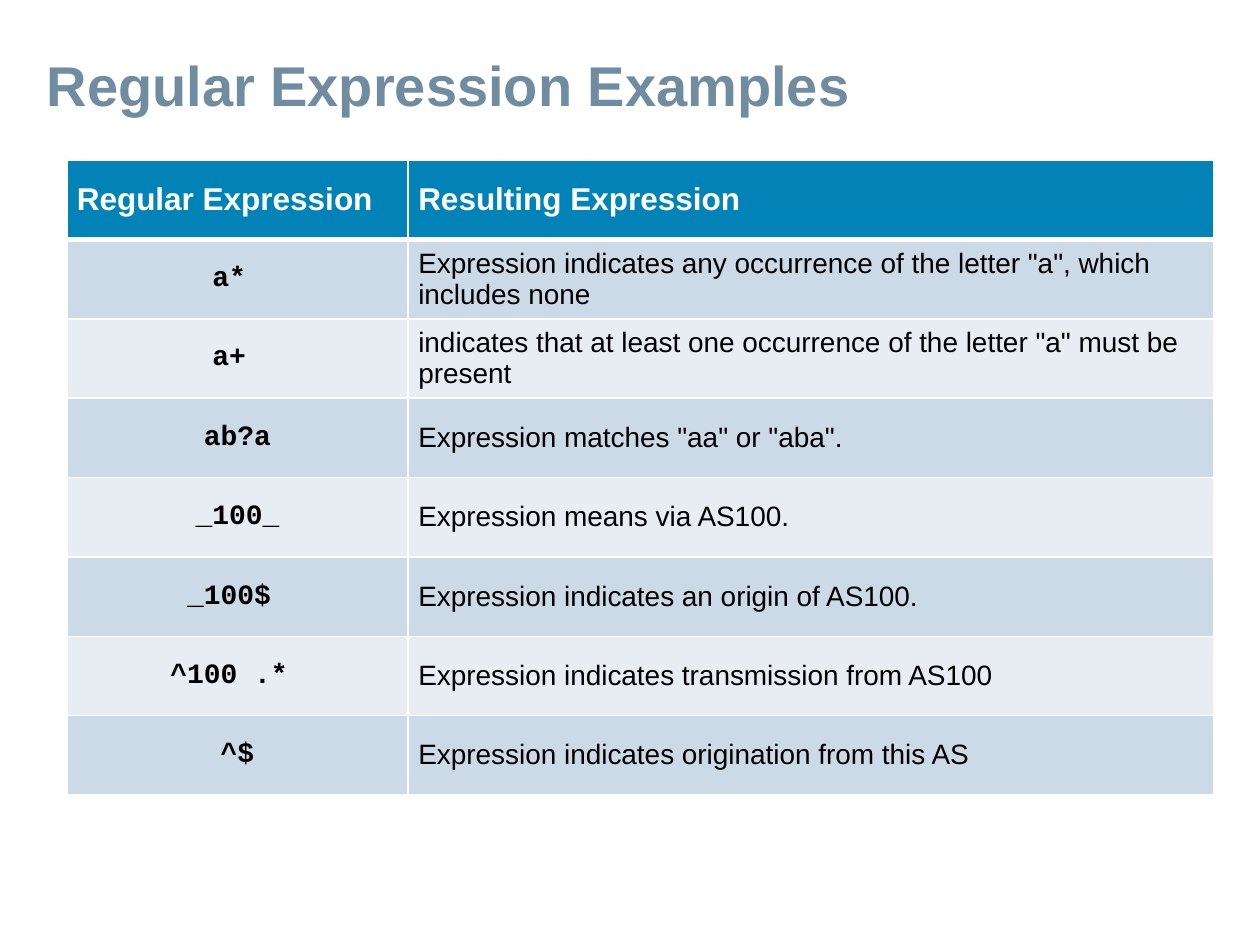
from dataclasses import dataclass

from lxml import etree
from pptx import Presentation
from pptx.dml.color import RGBColor
from pptx.enum.text import MSO_ANCHOR, PP_ALIGN
from pptx.oxml.ns import qn
from pptx.util import Inches, Pt

MIDDLE = MSO_ANCHOR.MIDDLE
LEFT, CENTER = PP_ALIGN.LEFT, PP_ALIGN.CENTER

TITLE = "Regular Expression Examples"
HEADER = ("Regular Expression", "Resulting Expression")
EXAMPLES = [
    ("a* ", 'Expression indicates any occurrence of the letter "a", which includes none'),
    ("a+ ", 'indicates that at least one occurrence of the letter "a" must be present'),
    ("ab?a", 'Expression matches "aa" or "aba".'),
    ("_100_", "Expression means via AS100."),
    ("_100$ ", "Expression indicates an origin of AS100."),
    ("^100 .* ", "Expression indicates transmission from AS100"),
    ("^$", "Expression indicates origination from this AS"),
]


@dataclass(frozen=True)
class Theme:
    sans: str = "Arial"
    mono: str = "Courier New"
    title: str = "708CA1"
    header_fill: str = "0183B7"
    bands: tuple = ("CCD9E6", "E7EDF3")
    light: str = "FFFFFF"
    dark: str = "000000"
    title_size: int = 32
    header_size: int = 18
    body_size: int = 16
    thin: int = 1
    thick: int = 3


THEME = Theme()
WIDTH, HEIGHT = 10, 7.5
TITLE_BOX = (0.31, 0.4, 9.32, 0.6)
TABLE_LEFT, TABLE_TOP = 0.53, 1.27
COLUMNS = (2.71, 6.39)
ROW_HEIGHT = 0.63


def set_font(p, name, size, color, bold):
    p.font.name, p.font.size, p.font.bold = name, Pt(size), bold
    p.font.color.rgb = RGBColor.from_string(color)


def set_borders(cell, top, bottom):
    """Draw light borders; top and bottom are widths in points."""
    tc_pr = cell._tc.get_or_add_tcPr()
    widths = {"lnL": THEME.thin, "lnR": THEME.thin, "lnT": top, "lnB": bottom}
    for i, (side, width) in enumerate(widths.items()):
        ln = etree.Element(qn(f"a:{side}"), w=str(Pt(width)))
        fill = etree.SubElement(ln, qn("a:solidFill"))
        etree.SubElement(fill, qn("a:srgbClr"), val=THEME.light)
        tc_pr.insert(i, ln)


def fill_cell(cell, text, fill, align, font):
    cell.fill.solid()
    cell.fill.fore_color.rgb = RGBColor.from_string(fill)
    cell.vertical_anchor = MIDDLE
    cell.margin_left = cell.margin_right = Inches(0.08)
    cell.margin_top = cell.margin_bottom = Inches(0.04)
    cell.text = text
    p = cell.text_frame.paragraphs[0]
    p.alignment, p.space_after = align, Pt(6)
    set_font(p, *font)


def add_title(s):
    tf = s.shapes.add_textbox(*map(Inches, TITLE_BOX)).text_frame
    tf.word_wrap = True
    tf.vertical_anchor = MIDDLE
    tf.margin_left = tf.margin_right = Inches(0.06)
    tf.margin_top = tf.margin_bottom = 0
    p = tf.paragraphs[0]
    p.text, p.line_spacing = TITLE, 0.9
    set_font(p, THEME.sans, THEME.title_size, THEME.title, True)


def add_examples(s):
    rows = [HEADER, *EXAMPLES]
    box = (TABLE_LEFT, TABLE_TOP, sum(COLUMNS), ROW_HEIGHT * len(rows))
    table = s.shapes.add_table(len(rows), len(COLUMNS), *map(Inches, box)).table
    for column, width in zip(table.columns, COLUMNS):
        column.width = Inches(width)

    header_font = (THEME.sans, THEME.header_size, THEME.light, True)
    code_font = (THEME.mono, THEME.body_size, THEME.dark, True)
    body_font = (THEME.sans, THEME.body_size, THEME.dark, False)
    for r, texts in enumerate(rows):
        table.rows[r].height = Inches(ROW_HEIGHT)
        if r == 0:
            fill, styles = THEME.header_fill, [(LEFT, header_font)] * 2
        else:
            fill = THEME.bands[(r - 1) % 2]
            styles = [(CENTER, code_font), (LEFT, body_font)]
        top = THEME.thick if r == 1 else THEME.thin
        bottom = THEME.thick if r == 0 else THEME.thin
        for c, (text, style) in enumerate(zip(texts, styles)):
            cell = table.cell(r, c)
            fill_cell(cell, text, fill, *style)
            set_borders(cell, top, bottom)


def main():
    prs = Presentation()
    prs.slide_width, prs.slide_height = Inches(WIDTH), Inches(HEIGHT)
    s = prs.slides.add_slide(prs.slide_layouts[6])
    add_title(s)
    add_examples(s)
    prs.save("out.pptx")


if __name__ == "__main__":
    main()
